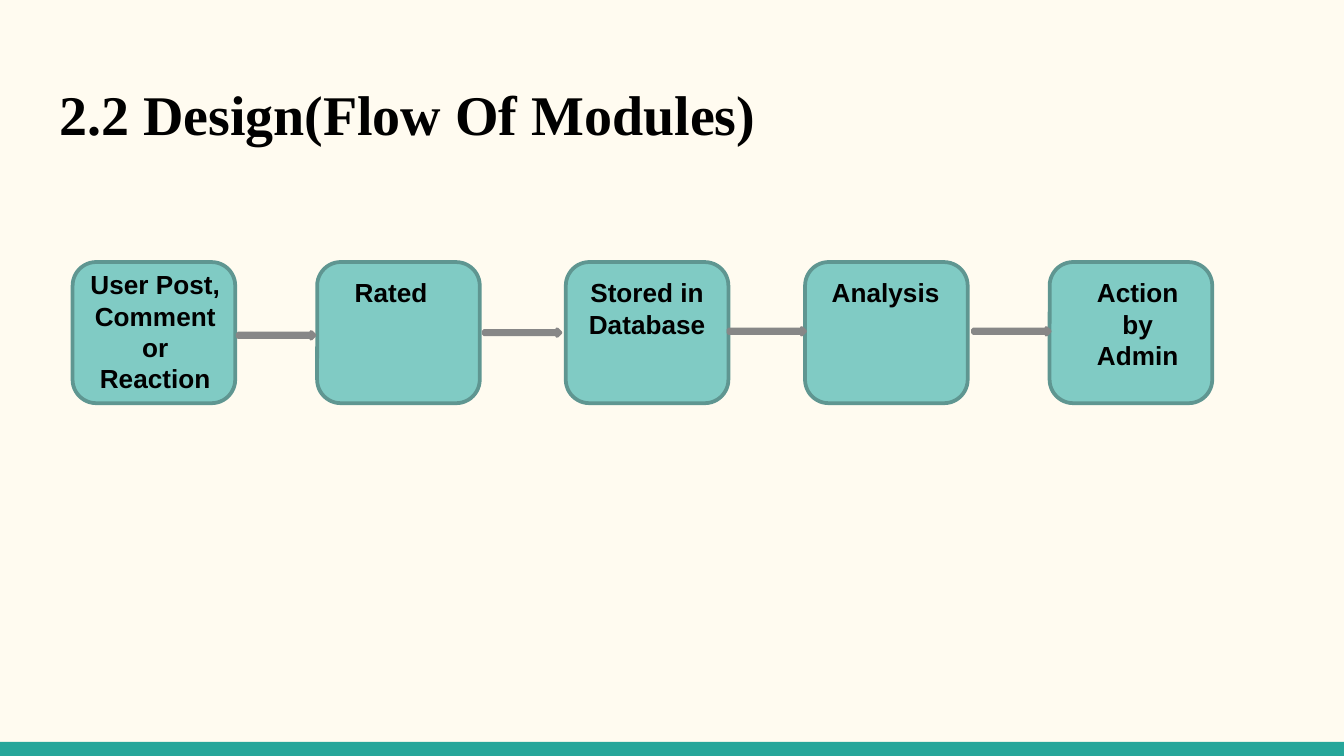
import pptx
import pptx.dml.color
import pptx.enum.shapes
import pptx.enum.text
import pptx.util

Inches = pptx.util.Inches
Pt = pptx.util.Pt
MSO_SHAPE = pptx.enum.shapes.MSO_SHAPE
PP_ALIGN = pptx.enum.text.PP_ALIGN
MSO_AUTO_SIZE = pptx.enum.text.MSO_AUTO_SIZE


def set_color(target, color):
    """Give a fill solid paint, or a font its colour, from a hex string."""
    rgb = pptx.dml.color.RGBColor.from_string(color)
    if hasattr(target, "solid"):
        target.solid()
        target.fore_color.rgb = rgb
    else:
        target.color.rgb = rgb


def write(frame, text, size=14, font="Arial", align=PP_ALIGN.CENTER,
          fit=MSO_AUTO_SIZE.SHAPE_TO_FIT_TEXT):
    frame.text = text
    frame.word_wrap = True
    frame.auto_size = fit
    frame.vertical_anchor = pptx.enum.text.MSO_ANCHOR.TOP
    for paragraph in frame.paragraphs:
        paragraph.alignment = align
        run_font = paragraph.runs[0].font
        run_font.name, run_font.size, run_font.bold = font, Pt(size), True
        set_color(run_font, "000000")


prs = pptx.Presentation()
prs.slide_width = Inches(10)
prs.slide_height = prs.slide_width * 9 // 16
slide = prs.slides.add_slide(prs.slide_layouts[5])
set_color(slide.background.fill, "FFFBF0")

# Title
title = slide.shapes.title
title.left, title.top = Inches(0.34), Inches(0.49)
title.width, title.height = Inches(9.32), Inches(0.67)
write(title.text_frame, "2.2 Design(Flow Of Modules)", size=30, font="Times New Roman",
      align=PP_ALIGN.LEFT, fit=MSO_AUTO_SIZE.NONE)
title.text_frame.margin_left = title.text_frame.margin_right = Inches(0.1)
title.text_frame.margin_top = title.text_frame.margin_bottom = Inches(0.1)

# Footer bar, modules and arrows: preset, left, top, width, height, fill, line
parts = [(MSO_SHAPE.RECTANGLE, 0, 5.52, 10, 0.11, "26A69A", None)]
for left in (0.54, 4.21, 2.36, 5.99, 7.81):
    parts.append((MSO_SHAPE.ROUNDED_RECTANGLE, left, 1.95, 1.21, 1.05, "80CBC4", "5F9691"))
for left, top in ((1.77, 2.47), (3.6, 2.45), (5.42, 2.44), (7.24, 2.44)):
    parts.append((MSO_SHAPE.RIGHT_ARROW, left, top, 0.57, 0.05, "B7B7B7", "878787"))

for preset, left, top, width, height, fill, line in parts:
    part = slide.shapes.add_shape(preset, Inches(left), Inches(top), Inches(width), Inches(height))
    part.shadow.inherit = False
    set_color(part.fill, fill)
    if line:
        set_color(part.line.fill, line)
        part.line.width = Pt(2)
    else:
        part.line.fill.background()

# Module names
for name, left, top, width, height in (
    ("User Post, Comment or Reaction", 0.54, 1.95, 1.23, 1.04),
    ("Rated", 2.44, 2.01, 0.94, 0.34),
    ("Stored in\nDatabase", 4.21, 2.01, 1.21, 0.57),
    ("Analysis", 6.06, 2.01, 1.06, 0.34),
    ("Action by Admin", 7.93, 2.01, 1.07, 0.81),
):
    label = slide.shapes.add_textbox(Inches(left), Inches(top), Inches(width), Inches(height))
    write(label.text_frame, name)

prs.save("out.pptx")
